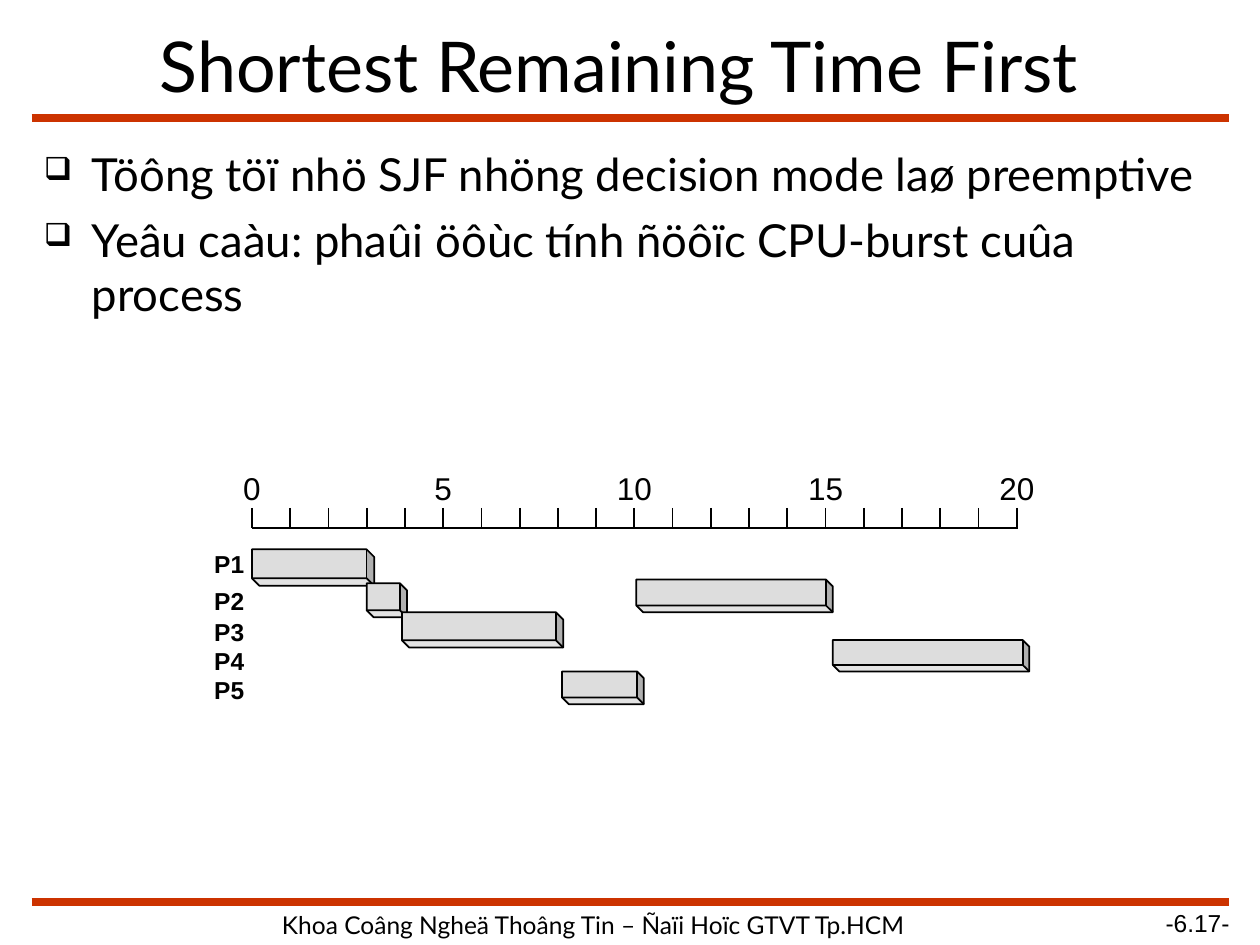
from lxml import etree
from pptx import Presentation
from pptx.dml.color import RGBColor
from pptx.enum.shapes import MSO_CONNECTOR, MSO_SHAPE
from pptx.enum.text import MSO_ANCHOR, PP_ALIGN
from pptx.oxml.ns import qn
from pptx.util import Inches, Pt

STRAIGHT = MSO_CONNECTOR.STRAIGHT
CUBE = MSO_SHAPE.CUBE
TOP, MIDDLE = MSO_ANCHOR.TOP, MSO_ANCHOR.MIDDLE
LEFT, CENTER = PP_ALIGN.LEFT, PP_ALIGN.CENTER

COLORS = {"ink": "000000", "rule": "CC3300", "bar": "DDDDDD"}
AXIS_LEFT, AXIS_Y, TICK_STEP, TICK_COUNT = 2, 4.19, 0.3035, 21


def rgb(name):
    return RGBColor.from_string(COLORS[name])


def add_bullet(p, char):
    pPr = p._p.get_or_add_pPr()
    pPr.set("marL", str(Inches(0.38)))
    pPr.set("indent", str(Inches(-0.38)))
    color = etree.SubElement(pPr, qn("a:buClr"))
    etree.SubElement(color, qn("a:srgbClr"), val=COLORS["ink"])
    etree.SubElement(pPr, qn("a:buSzPct"), val="70000")
    etree.SubElement(pPr, qn("a:buChar"), char=char)


def write_text(p, text, size=18, font="Arial", bold=False, align=CENTER, bullet=None, before=0):
    if bullet:
        add_bullet(p, bullet)
    p.alignment = align
    p.space_before = Pt(before)
    r = p.add_run()
    r.text = text
    r.font.size = Pt(size)
    r.font.name = font
    r.font.bold = bold
    r.font.color.rgb = rgb("ink")


class SlideBuilder:
    def __init__(self, slide):
        self.s = slide

    def line(self, x1, y1, x2, y2, color="ink", width=1):
        c = self.s.shapes.add_connector(STRAIGHT, Inches(x1), Inches(y1), Inches(x2), Inches(y2))
        c.line.color.rgb = rgb(color)
        c.line.width = Pt(width)
        etree.SubElement(c.element.spPr, qn("a:effectLst"))

    def text(self, x, y, w, h, *lines, anchor=TOP, wrap=True, inset=True, gap=0, **style):
        tf = self.s.shapes.add_textbox(Inches(x), Inches(y), Inches(w), Inches(h)).text_frame
        tf.word_wrap = wrap
        tf.vertical_anchor = anchor
        if not inset:
            tf.margin_left = tf.margin_right = tf.margin_top = tf.margin_bottom = 0
        for i, line in enumerate(lines):
            p = tf.add_paragraph() if i else tf.paragraphs[0]
            write_text(p, line, before=gap if i else 0, **style)

    def bar(self, x, y, w, h):
        sp = self.s.shapes.add_shape(CUBE, Inches(x), Inches(y), Inches(w), Inches(h))
        sp.adjustments[0] = 0.208
        sp.shadow.inherit = False
        sp.fill.solid()
        sp.fill.fore_color.rgb = rgb("bar")
        sp.line.color.rgb = rgb("ink")
        sp.line.width = Pt(1)
        sp.element.spPr.find(qn("a:xfrm")).set("flipV", "1")


def main():
    prs = Presentation()
    prs.slide_width, prs.slide_height = Inches(10), Inches(7.5)
    b = SlideBuilder(prs.slides.add_slide(prs.slide_layouts[6]))

    for y in (0.94, 7.16):
        b.line(0.25, y, 9.75, y, "rule", 4.5)
    b.text(0.25, 7.17, 8.92, 0.42, "Khoa Coâng Ngheä Thoâng Tin – Ñaïi Hoïc GTVT Tp.HCM",
           size=14, font="Lato")
    b.text(9.17, 7.21, 0.67, 0.47, "-6.17-", size=14, inset=False)
    b.text(1.17, 0.08, 8.58, 0.87, "Shortest Remaining Time First",
           size=40, font="Lato", align=LEFT, anchor=MIDDLE)
    b.text(0.25, 1.11, 9.5, 5.93,
           "Töông töï nhö SJF nhöng decision mode laø preemptive",
           "Yeâu caàu: phaûi öôùc tính ñöôïc CPU-burst cuûa process",
           size=26, font="Lato", align=LEFT, bullet="❑", gap=6.5)

    b.line(AXIS_LEFT, AXIS_Y, 8.08, AXIS_Y, width=1.5)
    for t in range(TICK_COUNT):
        x = AXIS_LEFT + t * TICK_STEP
        b.line(x, AXIS_Y - 0.16, x, AXIS_Y)
        if t % 5 == 0:
            w = 0.34 if t < 10 else 0.48
            b.text(x - w / 2, 3.67, w, 0.4, str(t), wrap=False)

    bars = [
        (2, 4.36, 0.97, 0.29),
        (2.91, 4.63, 0.32, 0.27),
        (3.19, 4.86, 1.28, 0.28),
        (6.61, 5.08, 1.56, 0.25),
        (4.46, 5.33, 0.65, 0.26),
        (5.05, 4.6, 1.56, 0.26),
    ]
    for box in bars:
        b.bar(*box)
    for n, y in enumerate((4.31, 4.6, 4.85, 5.08, 5.31), 1):
        b.text(1.6, y, 0.44, 0.34, f"P{n}", size=14, bold=True, wrap=False)

    prs.save("out.pptx")


if __name__ == "__main__":
    main()
